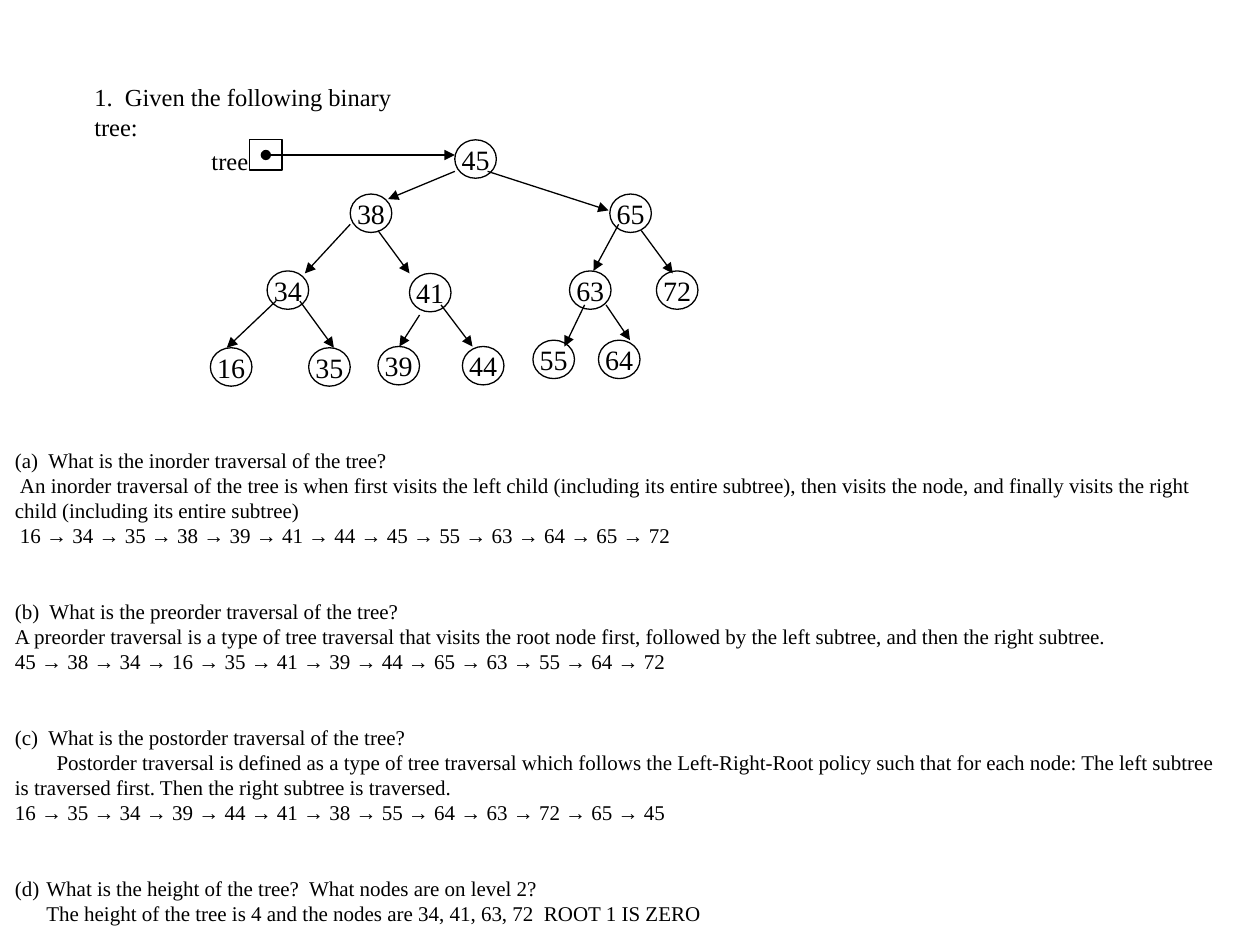
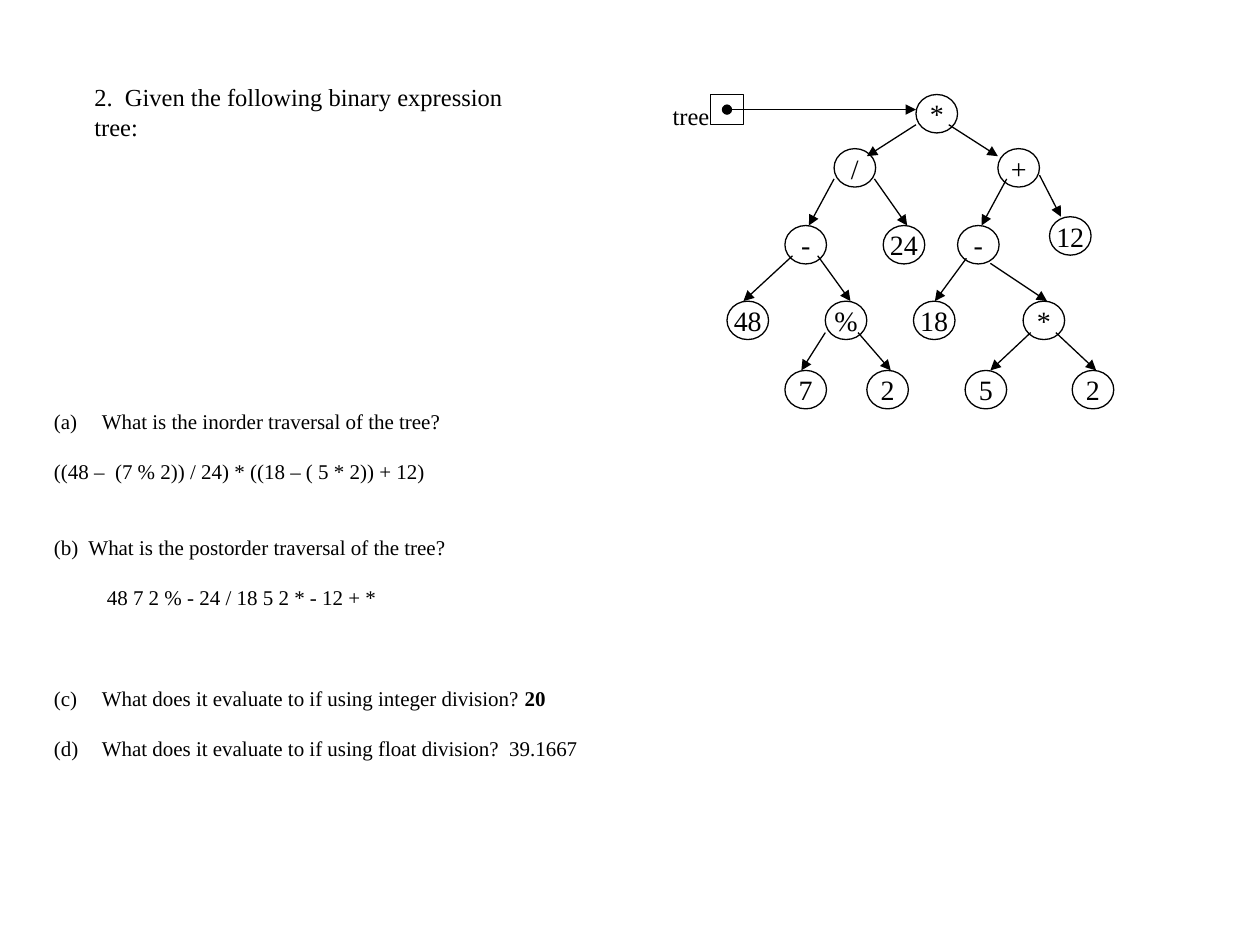
"""Build two slides of binary tree exercises."""
import dataclasses

import lxml.etree
import pptx
import pptx.dml.color
import pptx.enum.shapes
import pptx.enum.text
import pptx.oxml.ns
import pptx.util

Pt = pptx.util.Pt
Shape = pptx.enum.shapes.MSO_SHAPE
Align = pptx.enum.text.PP_ALIGN
Anchor = pptx.enum.text.MSO_ANCHOR


@dataclasses.dataclass(frozen=True)
class Theme:
    """Fonts, sizes and the 100 by 75 grid shared by the slides."""
    font: str = "Times New Roman"
    ink: pptx.dml.color.RGBColor = pptx.dml.color.RGBColor(0, 0, 0)
    title: float = 14
    title_line: float = 17
    body: float = 12
    body_line: float = 14.4
    node: float = 16
    stroke: float = 0.75
    columns: int = 100
    rows: int = 75
    node_size: tuple = (3.3, 3.05)


@dataclasses.dataclass(frozen=True)
class Para:
    """A paragraph; gap counts lines above it, left and first are columns."""
    text: str
    gap: int = 0
    left: float = 0
    first: float = 0
    number: int = 0
    answer: str = ""


THEME = Theme()

SEARCH_TREE = [
    ("45", 20.3, 0, None),
    ("38", 12, 4.3, (20.3, 2.5, 15, 4.7)),
    ("65", 32.6, 4.3, (22.9, 2.5, 32.5, 5.6)),
    ("34", 5.4, 10.4, (12, 6.7, 8.4, 10.6)),
    ("41", 16.7, 10.6, (14.2, 7.2, 16.7, 10.6)),
    ("63", 29.4, 10.4, (33.3, 6.7, 31.3, 10.4)),
    ("72", 36.3, 10.4, (35.1, 7.2, 37.6, 10.6)),
    ("16", 0.9, 16.5, (6.1, 12.8, 2.2, 16.5)),
    ("35", 8.7, 16.5, (8, 12.8, 10.7, 16.5)),
    ("39", 14.2, 16.4, (17.5, 13.9, 15.9, 16.4)),
    ("44", 20.9, 16.4, (19.2, 13.1, 21.7, 16.4)),
    ("55", 26.5, 15.9, (30.6, 13.1, 29, 16.4)),
    ("64", 31.7, 15.9, (32.3, 13.1, 34.2, 15.9)),
]

EXPRESSION_TREE = [
    ("*", 20.3, 0, None),
    ("/", 13.8, 4.3, (20.3, 2.4, 16.4, 4.9)),
    ("+", 26.8, 4.3, (22.9, 2.4, 26.8, 4.9)),
    ("-", 9.9, 10.4, (13.8, 6.7, 11.8, 10.4)),
    ("24", 17.7, 10.4, (17, 6.7, 19.6, 10.4)),
    ("-", 23.6, 10.4, (27.5, 6.7, 25.5, 10.4)),
    ("12", 30.9, 9.7, (30.1, 6.4, 31.8, 9.7)),
    ("48", 5.3, 16.4, (10.5, 12.8, 6.6, 16.4)),
    ("%", 13.1, 16.4, (12.5, 12.8, 15.1, 16.4)),
    ("18", 20.1, 16.4, (24.3, 13, 21.8, 16.4)),
    ("*", 28.8, 16.4, (26.2, 13.4, 30.7, 16.4)),
    ("7", 9.9, 21.9, (13.1, 18.9, 11.2, 21.9)),
    ("2", 16.4, 21.9, (15.7, 18.9, 18.3, 21.9)),
    ("5", 24.2, 21.9, (29.4, 18.9, 26.2, 21.9)),
    ("2", 32.7, 21.9, (31.4, 18.9, 34.6, 21.9)),
]

TRAVERSALS = [
    Para("(a)  What is the inorder traversal of the tree?"),
    Para("An inorder traversal of the tree is when first visits the left child "
         "(including its entire subtree), then visits the node, and finally "
         "visits the right child (including its entire subtree)", first=0.4),
    Para("16 → 34 → 35 → 38 → 39 → 41 → 44 → 45 → 55 → 63 → 64 → 65 → 72", first=0.4),
    Para("(b)  What is the preorder traversal of the tree?", gap=2),
    Para("A preorder traversal is a type of tree traversal that visits the root "
         "node first, followed by the left subtree, and then the right subtree.\n"
         "45 → 38 → 34 → 16 → 35 → 41 → 39 → 44 → 65 → 63 → 55 → 64 → 72"),
    Para("(c)  What is the postorder traversal of the tree?", gap=2),
    Para("Postorder traversal is defined as a type of tree traversal which follows "
         "the Left-Right-Root policy such that for each node: The left subtree is "
         "traversed first. Then the right subtree is traversed.\n"
         "16 → 35 → 34 → 39 → 44 → 41 → 38 → 55 → 64 → 63 → 72 → 65 → 45", first=3.3),
    Para("What is the height of the tree?  What nodes are on level 2?\n"
         "The height of the tree is 4 and the nodes are 34, 41, 63, 72  "
         "ROOT 1 IS ZERO", gap=2, left=2.5, first=-2.5, number=4),
]

EVALUATIONS = [
    Para("What is the inorder traversal of the tree?", left=3.8, first=-3.8, number=1),
    Para("((48 –  (7 % 2)) / 24) * ((18 – ( 5 * 2)) + 12)", gap=1),
    Para("(b)  What is the postorder traversal of the tree?", gap=2),
    Para("48 7 2 % - 24 / 18 5 2 * - 12 + *", gap=1, left=4.2),
    Para("What does it evaluate to if using integer division? ", gap=3,
         left=3.8, first=-3.8, number=3, answer="20"),
    Para("What does it evaluate to if using float division?  39.1667", gap=1,
         left=3.8, first=-3.8, number=4),
]


class Grid:
    """Turns columns and rows of a region into slide lengths."""

    def __init__(self, prs, col=0, row=0):
        """Set the region's corner on the slide grid."""
        self.col, self.row = col, row
        self.unit_x = prs.slide_width / THEME.columns
        self.unit_y = prs.slide_height / THEME.rows

    def point(self, x, y):
        """Return a point of the region as lengths."""
        return round((self.col + x) * self.unit_x), round((self.row + y) * self.unit_y)

    def box(self, x, y, w, h):
        """Return a box of the region as lengths."""
        return *self.point(x, y), round(w * self.unit_x), round(h * self.unit_y)


def add_run(p, text, size, bold=False):
    """Add one run in the theme font."""
    r = p.add_run()
    r.text = text
    r.font.name, r.font.size, r.font.bold = THEME.font, Pt(size), bold
    r.font.color.rgb = THEME.ink


def add_textbox(s, box, wrap=True):
    """Add an empty text box and return its text frame."""
    tf = s.shapes.add_textbox(*box).text_frame
    tf.word_wrap = wrap
    return tf


def set_number(pPr, start):
    """Number a paragraph with a letter in brackets."""
    num = lxml.etree.SubElement(pPr, pptx.oxml.ns.qn("a:buAutoNum"))
    num.set("type", "alphaLcParenBoth")
    num.set("startAt", str(start))


def add_title(s, grid, width, text):
    """Place the question heading."""
    p = add_textbox(s, grid.box(0, 0, width, 5.7)).paragraphs[0]
    p.line_spacing = Pt(THEME.title_line)
    add_run(p, text, THEME.title)


def add_questions(s, grid, width, height, paras):
    """Place the questions and answers in one text box."""
    tf = add_textbox(s, grid.box(0, 0, width, height))
    for i, para in enumerate(paras):
        p = tf.add_paragraph() if i else tf.paragraphs[0]
        p.line_spacing = Pt(THEME.body_line)
        p.space_before = Pt(para.gap * THEME.body_line)
        pPr = p._p.get_or_add_pPr()
        pPr.set("marL", str(round(para.left * grid.unit_x)))
        pPr.set("indent", str(round(para.first * grid.unit_x)))
        if para.number:
            set_number(pPr, para.number)
        for n, line in enumerate(para.text.split("\n")):
            if n:
                p.add_line_break()
            add_run(p, line, THEME.body)
        if para.answer:
            add_run(p, para.answer, THEME.body, bold=True)


def add_outline(s, kind, box):
    """Add an unfilled shape with the theme stroke."""
    sp = s.shapes.add_shape(kind, *box)
    sp.shadow.inherit = False
    sp.fill.background()
    sp.line.color.rgb = THEME.ink
    sp.line.width = Pt(THEME.stroke)
    return sp


def add_arrow(s, start, end, head=None):
    """Draw an arrow, with an optional mark at its start."""
    line = s.shapes.add_connector(pptx.enum.shapes.MSO_CONNECTOR.STRAIGHT, *start, *end)
    line.line.color.rgb = THEME.ink
    line.line.width = Pt(THEME.stroke)
    ln = line.line._get_or_add_ln()
    for tag, kind in (("a:headEnd", head), ("a:tailEnd", "triangle")):
        if kind:
            lxml.etree.SubElement(ln, pptx.oxml.ns.qn(tag)).set("type", kind)
    lxml.etree.SubElement(line._element.spPr, pptx.oxml.ns.qn("a:effectLst"))


def add_node(s, box, label):
    """Draw one labelled tree node."""
    tf = add_outline(s, Shape.OVAL, box).text_frame
    tf.margin_left = tf.margin_right = tf.margin_top = tf.margin_bottom = 0
    tf.word_wrap = False
    tf.vertical_anchor = Anchor.MIDDLE
    p = tf.paragraphs[0]
    p.alignment = Align.CENTER
    add_run(p, label, THEME.node)


def add_tree(s, grid, nodes):
    """Draw the tree pointer, the nodes and the links between them."""
    for label, x, y, link in nodes:
        add_node(s, grid.box(x, y, *THEME.node_size), label)
        if link:
            add_arrow(s, grid.point(*link[:2]), grid.point(*link[2:]))
    add_outline(s, Shape.RECTANGLE, grid.box(4, 0, 2.6, 2.4))
    p = add_textbox(s, grid.box(0, 0, 4.9, 3.3), wrap=False).paragraphs[0]
    add_run(p, "tree", THEME.title)
    add_arrow(s, grid.point(5.3, 1.2), grid.point(20.3, 1.2), head="oval")


def add_search_slide(prs):
    """Build the binary tree exercise."""
    s = prs.slides.add_slide(prs.slide_layouts[6])
    add_title(s, Grid(prs, 6.5, 6), 29, "1.  Given the following binary tree:")
    add_questions(s, Grid(prs, 0.2, 35), 98.1, 39.5, TRAVERSALS)
    add_tree(s, Grid(prs, 15.8, 11.1), SEARCH_TREE)


def add_expression_slide(prs):
    """Build the binary expression tree exercise."""
    s = prs.slides.add_slide(prs.slide_layouts[6])
    add_title(s, Grid(prs, 6.5, 6), 37.8, "2.  Given the following binary expression tree:")
    add_questions(s, Grid(prs, 3.3, 31.9), 88.3, 35.3, EVALUATIONS)
    add_tree(s, Grid(prs, 52.4, 7.5), EXPRESSION_TREE)


def main():
    """Build and save the presentation."""
    prs = pptx.Presentation()
    prs.slide_width, prs.slide_height = pptx.util.Inches(10), pptx.util.Inches(7.5)
    add_search_slide(prs)
    add_expression_slide(prs)
    prs.save("out.pptx")


if __name__ == "__main__":
    main()
